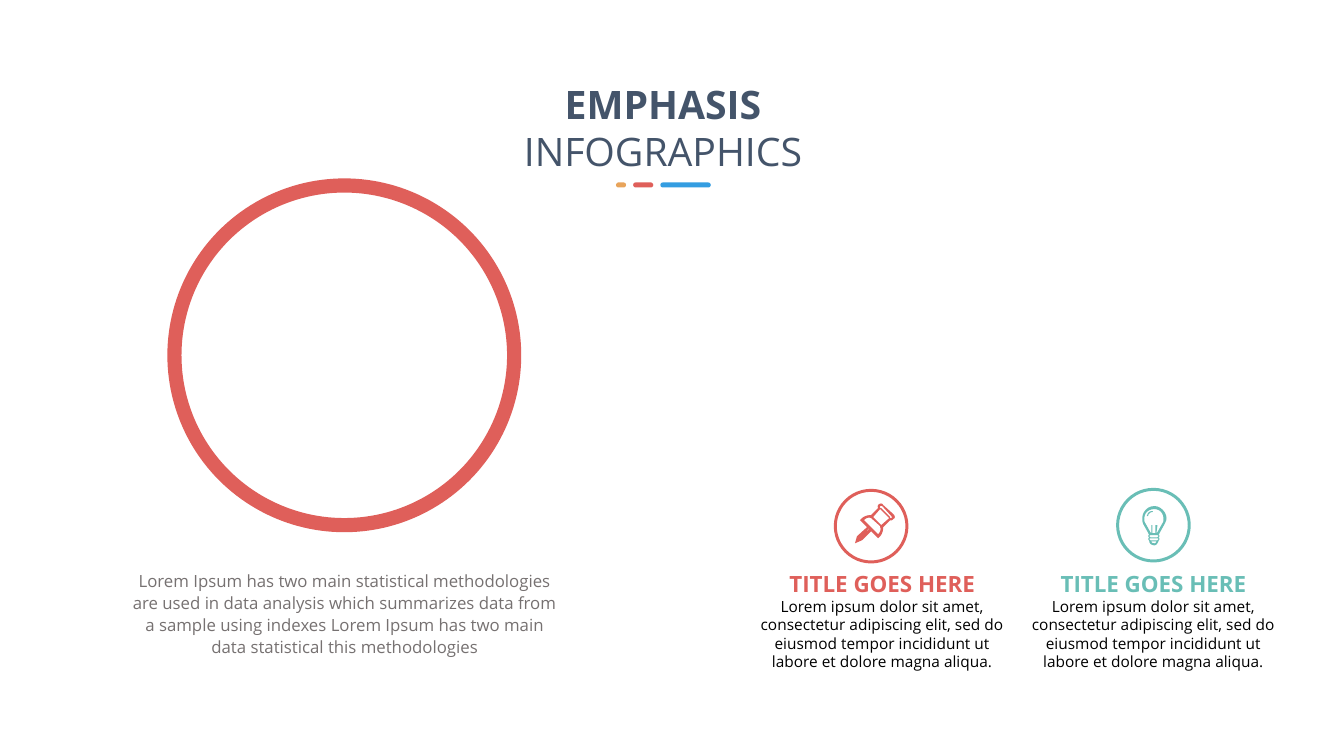
from copy import deepcopy
from dataclasses import dataclass

from pptx import Presentation
from pptx.dml.color import RGBColor
from pptx.enum.shapes import MSO_SHAPE
from pptx.enum.text import MSO_ANCHOR, MSO_AUTO_SIZE, PP_ALIGN
from pptx.oxml.ns import qn
from pptx.util import Pt

DONUT, ROUNDED = MSO_SHAPE.DONUT, MSO_SHAPE.ROUNDED_RECTANGLE
TOP, MIDDLE = MSO_ANCHOR.TOP, MSO_ANCHOR.MIDDLE
GROW, CENTER = MSO_AUTO_SIZE.SHAPE_TO_FIT_TEXT, PP_ALIGN.CENTER

PX = 9144  # 100 px per inch
GRID = 8  # outline steps per px
CURVE_STEPS = 6


@dataclass(frozen=True)
class Theme:
    font: str = "Open Sans"
    red: str = "DF5F5A"
    teal: str = "69BEB6"
    blue: str = "349DE1"
    amber: str = "E8A45B"
    navy: str = "44546A"
    gray: str = "767171"
    black: str = "000000"
    heading: int = 28
    card_title: int = 16
    card_body: int = 11
    caption: int = 12


THEME = Theme()

# Icon outlines in px from the corner of their ring: pairs are line ends,
# sixes are two curve handles and a curve end.
PIN = [[
    [(49, 38), (56, 31), (57, 32, 58, 31, 59, 30), (61, 29, 61, 27, 59, 25),
     (49, 16), (48, 14, 46, 14, 44, 16), (44, 16, 43, 18, 44, 19), (37, 26),
     (33, 26, 30, 27, 27, 30), (26, 31), (33, 38), (23, 47), (21, 54),
     (28, 51), (37, 42), (44, 49), (45, 48), (48, 45, 49, 42, 49, 38)],
    [(48, 17), (57, 27), (58, 28, 58, 28, 57, 29), (56, 29), (56, 28),
     (47, 19), (46, 19), (46, 18, 46, 18, 46, 17), (48, 17)],
    [(47, 36), (39, 28), (46, 20), (55, 29)],
    [(26, 49), (25, 50), (26, 49), (35, 39), (35, 40)],
    [(39, 40), (30, 31), (32, 29, 34, 28, 37, 29), (46, 37), (46, 38),
     (47, 40, 46, 43, 44, 45)],
]]
BULB_THREADS = [
    [(42, y), (42, y, 41, y + 1, 41, y + 1), (34, y + 1),
     (34, y + 1, 33, y, 33, y), (33, y - 1, 34, y - 1, 34, y - 1),
     (41, y - 1), (41, y - 1, 42, y - 1, 42, y)]
    for y in (48, 51)]
BULB = [[
    [(50, 30), (50, 24, 44, 18, 38, 18), (31, 18, 26, 24, 26, 30),
     (26, 32, 26, 34, 27, 36), (32, 45), (32, 45, 32, 46, 33, 46),
     (32, 47, 32, 47, 32, 48), (32, 48, 32, 49, 33, 49),
     (32, 50, 32, 50, 32, 51), (32, 52, 33, 52, 33, 53),
     (33, 55, 35, 57, 38, 57), (40, 57, 41, 55, 42, 53),
     (42, 52, 43, 52, 43, 51), (43, 50, 43, 50, 42, 49),
     (43, 49, 43, 48, 43, 48), (43, 47, 43, 47, 42, 46),
     (43, 46, 43, 45, 43, 45), (48, 36), (49, 34, 50, 32, 50, 30)],
    [(38, 55), (36, 55, 35, 54, 35, 53), (40, 53), (40, 54, 39, 55, 38, 55)],
    *BULB_THREADS,
    [(46, 35), (41, 44), (40, 45), (41, 37), (39, 37), (39, 45), (36, 45),
     (36, 37), (35, 37), (35, 45), (34, 44), (29, 35),
     (28, 34, 28, 32, 28, 30), (28, 25, 32, 21, 38, 21),
     (43, 21, 47, 25, 47, 30), (47, 32, 47, 34, 46, 35)],
], [
    [(36, 23), (33, 23, 31, 25, 31, 27), (30, 27, 31, 28, 31, 28),
     (31, 28, 32, 28, 32, 27), (32, 26, 34, 24, 36, 24),
     (36, 24, 37, 23, 36, 23)],
]]

LOREM = ("Lorem ipsum dolor sit amet, consectetur adipiscing elit, sed do "
         "eiusmod tempor incididunt ut labore et dolore magna aliqua.")
CAPTION = ("Lorem Ipsum has two main statistical methodologies are used in data "
           "analysis which summarizes data from a sample using indexes Lorem "
           "Ipsum has two main data statistical this methodologies")


def paint(shape, color):
    shape.shadow.inherit = False
    shape.fill.solid()
    shape.fill.fore_color.rgb = RGBColor.from_string(color)
    shape.line.fill.background()


def add_preset(page, kind, box, color, adjustment):
    shape = page.shapes.add_shape(kind, *(PX * length for length in box))
    shape.adjustments[0] = adjustment
    paint(shape, color)


def flatten(outline):
    """Turn an outline into grid points, sampling its curves."""
    points = []
    for step in outline:
        if len(step) == 2:
            points.append(step)
            continue
        nodes = list(zip((points[-1] + step)[::2], (points[-1] + step)[1::2]))
        for count in range(1, CURVE_STEPS + 1):
            t = count / CURVE_STEPS
            weights = ((1 - t) ** 3, 3 * t * (1 - t) ** 2, 3 * t * t * (1 - t), t ** 3)
            points.append(tuple(sum(w * node[axis] for w, node in zip(weights, nodes))
                                for axis in (0, 1)))
    return [(round(x * GRID), round(y * GRID)) for x, y in points]


def add_icon(page, left, top, icon, color):
    for outlines in icon:
        first, *others = map(flatten, outlines)
        builder = page.shapes.build_freeform(*first[0], scale=PX / GRID)
        builder.add_line_segments(first[1:])
        for points in others:
            builder.move_to(*points[0])
            builder.add_line_segments(points[1:])
        paint(builder.convert_to_shape(left * PX, top * PX), color)


def add_text(page, box, text, styles, margins, anchor=TOP, wrap=True):
    """Add centred text; styles give size, colour and weight run by run."""
    frame = page.shapes.add_textbox(*(PX * length for length in box)).text_frame
    frame.word_wrap, frame.auto_size, frame.vertical_anchor = wrap, GROW, anchor
    frame.margin_left = frame.margin_right = margins[0] * PX
    frame.margin_top = frame.margin_bottom = margins[1] * PX
    frame.text = text
    spans = [span for para in frame.paragraphs for span in para.runs]
    for span, (size, color, bold) in zip(spans, styles):
        span.font.name, span.font.size, span.font.bold = THEME.font, Pt(size), bold
        span.font.color.rgb = RGBColor.from_string(color)
    for para in frame.paragraphs:
        para.alignment = CENTER
        # Line breaks take the format of the line they end
        for line_break in para._p.findall(qn("a:br")):
            line_break.append(deepcopy(para.runs[0].font._rPr))
    return frame


def add_heading(page, left, top, width, height):
    add_text(page, (left, top, width, height), "EMPHASIS\nINFOGRAPHICS",
             [(THEME.heading, THEME.navy, True), (THEME.heading, THEME.navy, False)],
             (10, 5), wrap=False)
    # Three dashes under the heading
    dash_left, gap = left + 103, 7
    for dash_width, color in ((10, THEME.amber), (20, THEME.red), (50, THEME.blue)):
        add_preset(page, ROUNDED, (dash_left, top + 106, dash_width, 5), color, 0.5)
        dash_left += dash_width + gap


def add_emphasis(page, left, top, width):
    # Large ring centred over its caption
    ring = 351
    add_preset(page, DONUT, (left + (width - ring) // 2, top, ring, ring),
               THEME.red, 0.04)
    frame = add_text(page, (left, top + 381, width, 101), CAPTION,
                     [(THEME.caption, THEME.gray, False)], (12, 6))
    frame.paragraphs[0].line_spacing = 1.1


def add_card(page, left, top, width, height, icon, color, icon_offset):
    # Ringed icon
    ring_left, ring_top, ring = left + icon_offset[0], top + icon_offset[1], 74
    add_icon(page, ring_left, ring_top, icon, color)
    add_preset(page, DONUT, (ring_left, ring_top, ring, ring), color, 0.04)
    # Title and body
    text_top = 80
    frame = add_text(page, (left, top + text_top, width, height - text_top),
                     "TITLE GOES HERE\v" + LOREM,
                     [(THEME.card_title, color, True),
                      (THEME.card_body, THEME.black, False)], (0, 0), MIDDLE)
    frame.paragraphs[0].space_after = Pt(12)


def main():
    deck = Presentation()
    deck.slide_width, deck.slide_height = 1333 * PX, 750 * PX
    page = deck.slides.add_slide(deck.slide_layouts[6])
    add_emphasis(page, 116, 177, 452)
    add_card(page, 753, 485, 244, 181, PIN, THEME.red, (74, 0))
    add_card(page, 1022, 485, 244, 181, BULB, THEME.teal, (85, -1))
    add_heading(page, 508, 75, 299, 104)
    deck.save("out.pptx")


if __name__ == "__main__":
    main()
